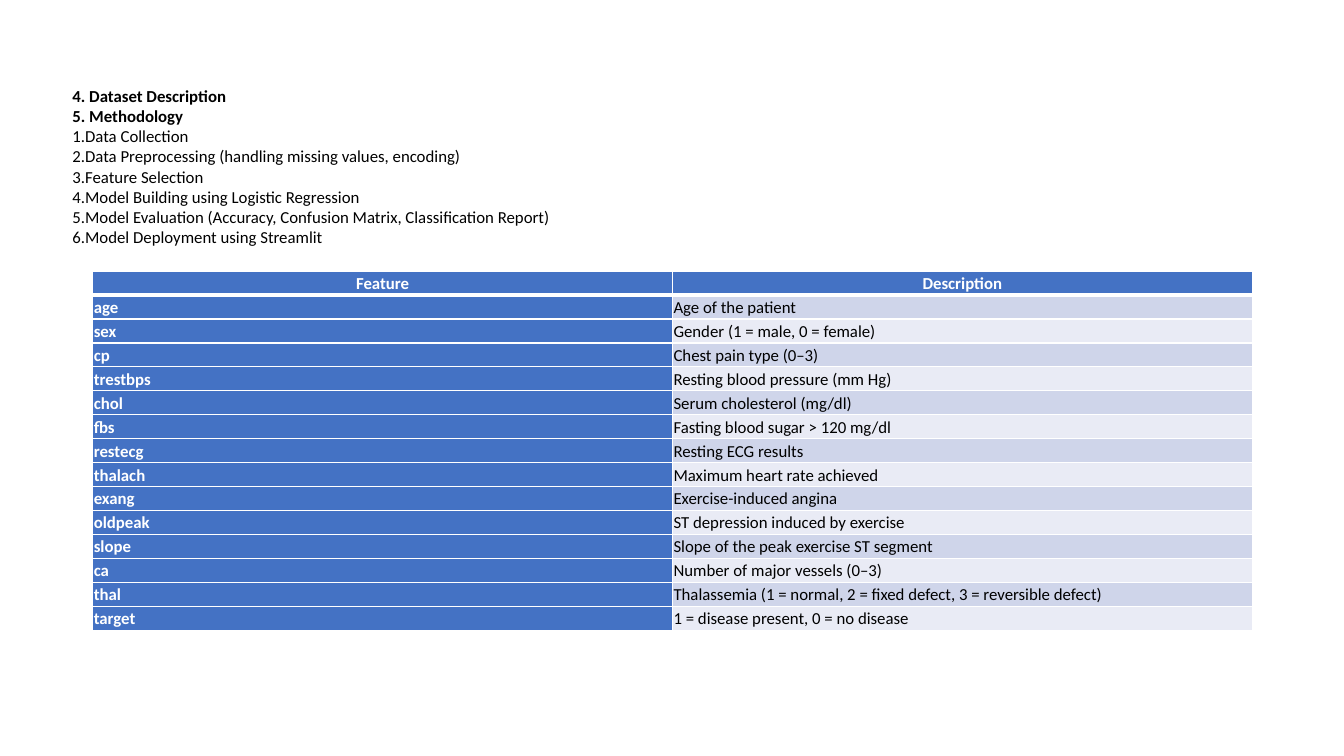
from lxml import etree
from pptx import Presentation
from pptx.dml.color import RGBColor
from pptx.enum.text import MSO_ANCHOR, PP_ALIGN
from pptx.oxml.ns import qn
from pptx.util import Emu, Pt

MIDDLE = MSO_ANCHOR.MIDDLE
TOP = MSO_ANCHOR.TOP
CENTER = PP_ALIGN.CENTER
LEFT = PP_ALIGN.LEFT

FONT = "Calibri"
WHITE = "FFFFFF"
BLACK = "000000"
BLUE = "4472C4"
BANDS = ("E9EBF5", "CFD5EA")

HEADINGS = ("4. Dataset Description", "5. Methodology")
STEPS = (
    "Data Collection",
    "Data Preprocessing (handling missing values, encoding)",
    "Feature Selection",
    "Model Building using Logistic Regression",
    "Model Evaluation (Accuracy, Confusion Matrix, Classification Report)",
    "Model Deployment using Streamlit",
)
FEATURES = (
    ("Feature", "Description"),
    ("age", "Age of the patient"),
    ("sex", "Gender (1 = male, 0 = female)"),
    ("cp", "Chest pain type (0–3)"),
    ("trestbps", "Resting blood pressure (mm Hg)"),
    ("chol", "Serum cholesterol (mg/dl)"),
    ("fbs", "Fasting blood sugar > 120 mg/dl"),
    ("restecg", "Resting ECG results"),
    ("thalach", "Maximum heart rate achieved"),
    ("exang", "Exercise-induced angina"),
    ("oldpeak", "ST depression induced by exercise"),
    ("slope", "Slope of the peak exercise ST segment"),
    ("ca", "Number of major vessels (0–3)"),
    ("thal", "Thalassemia (1 = normal, 2 = fixed defect, 3 = reversible defect)"),
    ("target", "1 = disease present, 0 = no disease"),
)


def px(length):
    return Emu(length * 9144)


def color(value):
    return RGBColor.from_string(value)


def add_span(para, text, ink, bold):
    span = para.add_run()
    span.text = text
    span.font.name = FONT
    span.font.size = Pt(12)
    span.font.bold = bold
    span.font.color.rgb = color(ink)


def number_para(para):
    properties = para._p.get_or_add_pPr()
    etree.SubElement(properties, qn("a:buFont"), typeface="+mj-lt")
    etree.SubElement(properties, qn("a:buAutoNum"), type="arabicPeriod")


def border_cell(cell, top, bottom):
    properties = cell._tc.get_or_add_tcPr()
    widths = {"lnL": 1, "lnR": 1, "lnT": top, "lnB": bottom}
    for position, (side, width) in enumerate(widths.items()):
        line = etree.Element(qn(f"a:{side}"), w=str(Pt(width)))
        fill = etree.SubElement(line, qn("a:solidFill"))
        etree.SubElement(fill, qn("a:srgbClr"), val=WHITE)
        properties.insert(position, line)


def add_methodology(page, left, top, width, height):
    box = page.shapes.add_textbox(px(left), px(top), px(width), px(height))
    frame = box.text_frame
    frame.word_wrap = True
    frame.vertical_anchor = TOP
    for index, text in enumerate(HEADINGS + STEPS):
        para = frame.add_paragraph() if index else frame.paragraphs[0]
        is_heading = index < len(HEADINGS)
        add_span(para, text, BLACK, is_heading)
        if not is_heading:
            number_para(para)


def add_feature_table(page, left, top, width, height):
    table = page.shapes.add_table(
        len(FEATURES), 2, px(left), px(top), px(width), px(height)
    ).table
    table.first_col = True
    for row, texts in enumerate(FEATURES):
        for column, text in enumerate(texts):
            cell = table.cell(row, column)
            is_header = row == 0
            is_label = is_header or column == 0
            cell.margin_left = cell.margin_right = px(1)
            cell.margin_top = cell.margin_bottom = px(1)
            cell.vertical_anchor = MIDDLE
            cell.fill.solid()
            cell.fill.fore_color.rgb = color(BLUE if is_label else BANDS[row % 2])
            border_cell(cell, 3 if row == 1 else 1, 3 if is_header else 1)
            para = cell.text_frame.paragraphs[0]
            para.alignment = CENTER if is_header else LEFT
            para.line_spacing = 1.07
            add_span(para, text, WHITE if is_label else BLACK, is_label)


def main():
    deck = Presentation()
    deck.slide_width = px(1333)
    deck.slide_height = px(750)
    page = deck.slides.add_slide(deck.slide_layouts[6])
    add_feature_table(page, 92, 269, 1150, 338)
    add_methodology(page, 62, 80, 1362, 202)
    deck.save("out.pptx")


if __name__ == "__main__":
    main()
